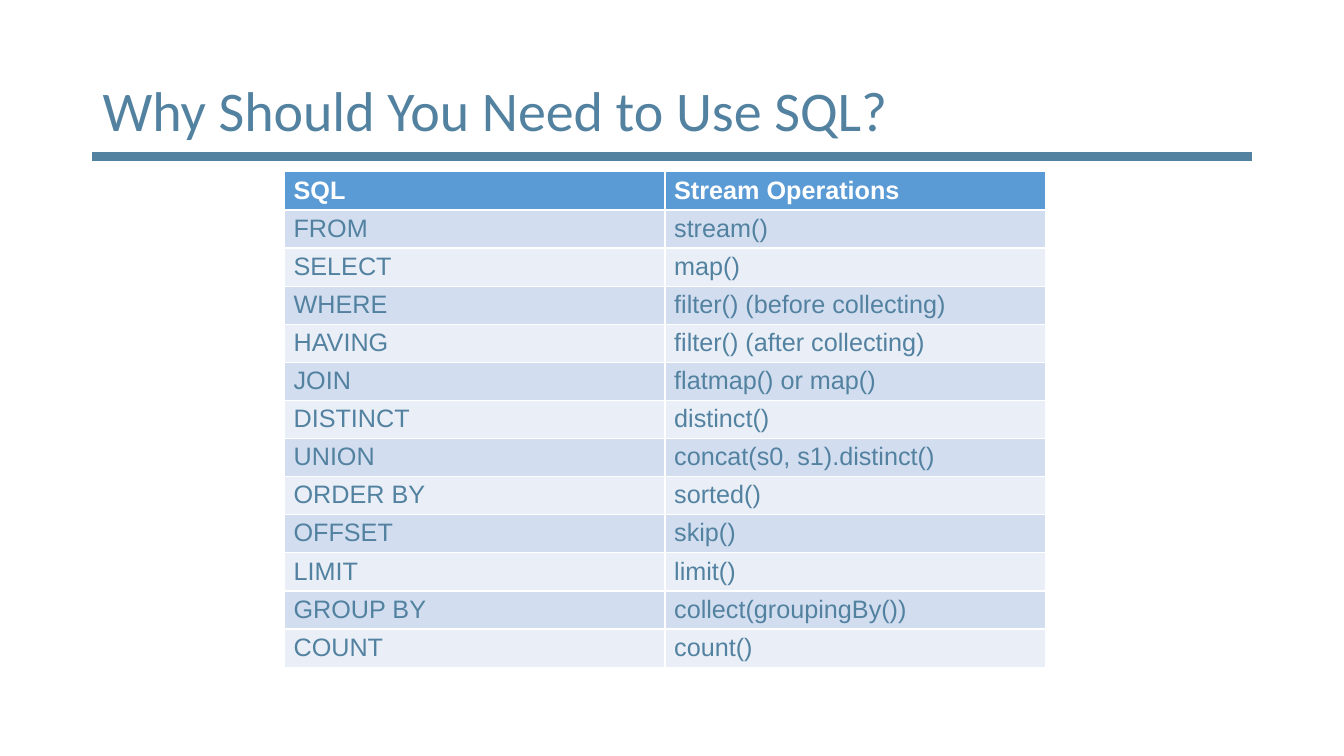
from pptx import Presentation
from pptx.dml.color import RGBColor
from pptx.enum import shapes, text
from pptx.oxml.ns import qn
from pptx.util import Cm, Pt
from lxml import etree

TITLE = "Why Should You Need to Use SQL?"
HEADER = ("SQL", "Stream Operations")
EQUIVALENTS = [
    ("FROM", "stream()"),
    ("SELECT", "map()"),
    ("WHERE", "filter() (before collecting)"),
    ("HAVING", "filter() (after collecting)"),
    ("JOIN", "flatmap() or map()"),
    ("DISTINCT", "distinct()"),
    ("UNION", "concat(s0, s1).distinct()"),
    ("ORDER BY", "sorted()"),
    ("OFFSET", "skip()"),
    ("LIMIT", "limit()"),
    ("GROUP BY", "collect(groupingBy())"),
    ("COUNT", "count()"),
]

STEEL, WHITE, HEADER_BLUE = "5382A1", "FFFFFF", "5B9BD5"
BANDS = ("D2DEEF", "EAEFF7")
LEFT, CONTENT_WIDTH, RULE_TOP = 2.33, 29.21, 3.94
COLUMN_WIDTH, ROW_HEIGHT = 9.59, 0.96


def rgb(hex_color):
    return RGBColor.from_string(hex_color)


def format_run(paragraph, font_name, size, color, bold=False):
    font = paragraph.runs[0].font
    font.name, font.size, font.bold = font_name, Pt(size), bold
    font.color.rgb = rgb(color)


def add_title(slide):
    title = slide.shapes.title
    title.left, title.top = Cm(LEFT), Cm(1.02)
    title.width, title.height = Cm(CONTENT_WIDTH), Cm(3.68)
    frame = title.text_frame
    frame.text = TITLE
    frame.vertical_anchor = text.MSO_ANCHOR.MIDDLE
    heading = frame.paragraphs[0]
    heading.alignment = text.PP_ALIGN.LEFT
    heading.line_spacing = 0.9
    format_run(heading, "Calibri", 40, STEEL)


def add_rule(slide):
    rule = slide.shapes.add_connector(
        shapes.MSO_CONNECTOR.STRAIGHT,
        Cm(LEFT), Cm(RULE_TOP), Cm(LEFT + CONTENT_WIDTH), Cm(RULE_TOP))
    rule.line.color.rgb = rgb(STEEL)
    rule.line.width = Pt(6)
    etree.SubElement(rule._element.spPr, qn("a:effectLst"))


def add_equivalents(slide):
    rows = [HEADER, *EQUIVALENTS]
    table = slide.shapes.add_table(
        len(rows), len(HEADER), Cm(7.17), Cm(4.33),
        Cm(COLUMN_WIDTH * len(HEADER)), Cm(ROW_HEIGHT * len(rows))).table
    for column in table.columns:
        column.width = Cm(COLUMN_WIDTH)
    for r, row in enumerate(rows):
        table.rows[r].height = Cm(ROW_HEIGHT)
        is_header = r == 0
        for c, entry in enumerate(row):
            cell = table.cell(r, c)
            cell.margin_left = cell.margin_right = Cm(0.23)
            cell.margin_top = cell.margin_bottom = Cm(0.11)
            cell.fill.solid()
            cell.fill.fore_color.rgb = rgb(
                HEADER_BLUE if is_header else BANDS[(r - 1) % 2])
            cell.text_frame.text = entry
            format_run(cell.text_frame.paragraphs[0], "Arial", 18,
                       WHITE if is_header else STEEL, is_header)


def main():
    deck = Presentation()
    deck.slide_width, deck.slide_height = Cm(33.87), Cm(19.05)
    slide = deck.slides.add_slide(deck.slide_layouts.get_by_name("Title Only"))
    add_rule(slide)
    add_title(slide)
    add_equivalents(slide)
    deck.save("out.pptx")


if __name__ == "__main__":
    main()
